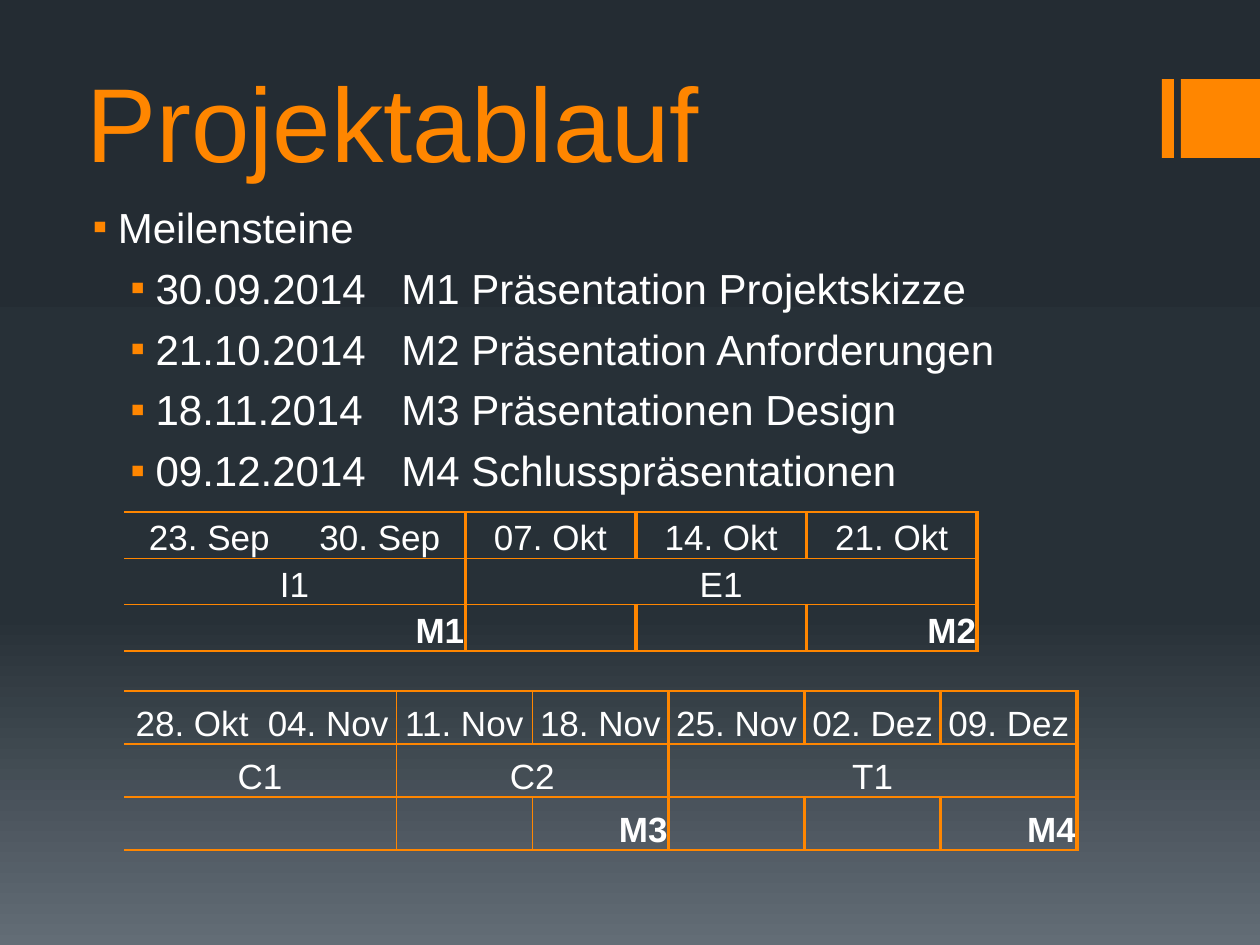
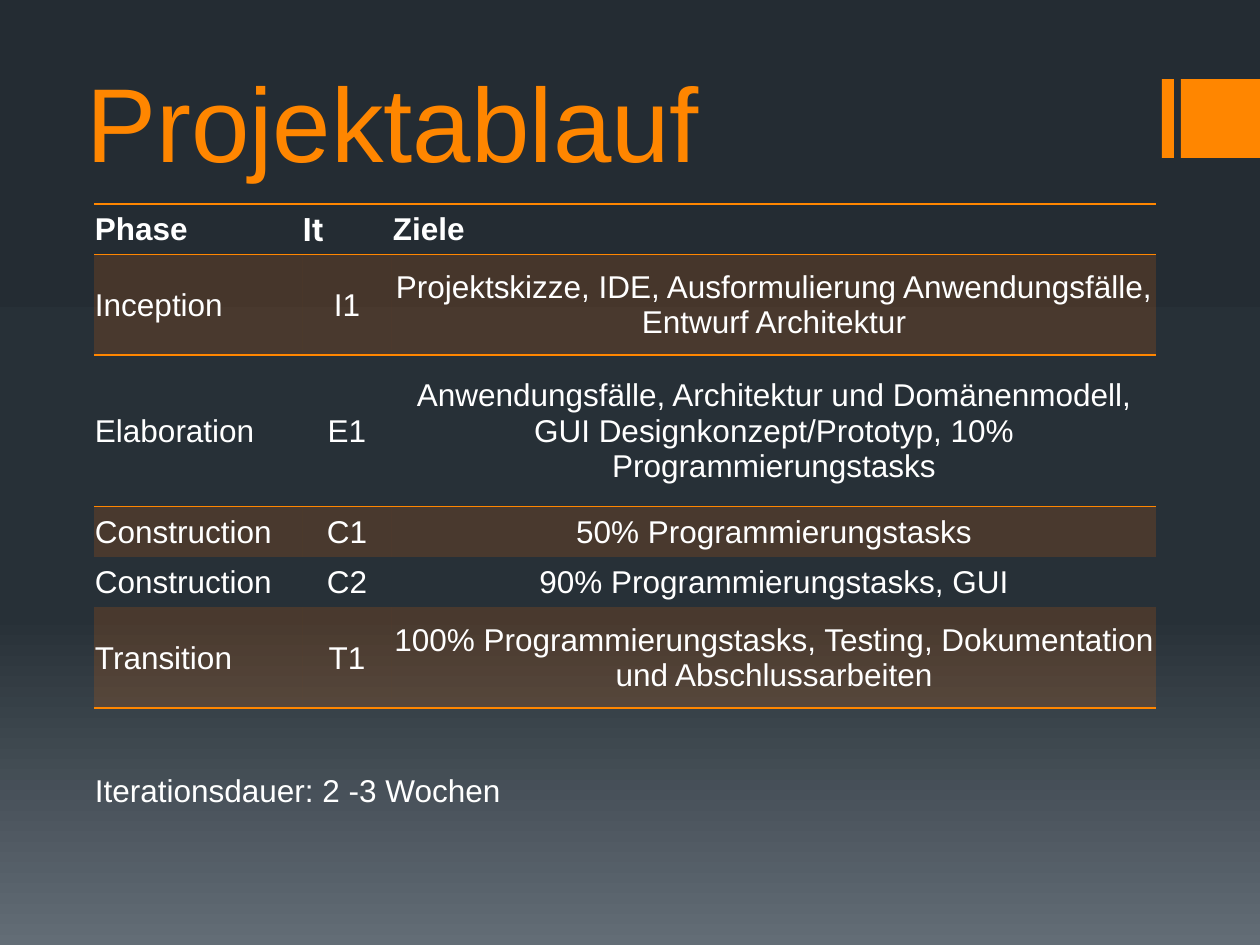
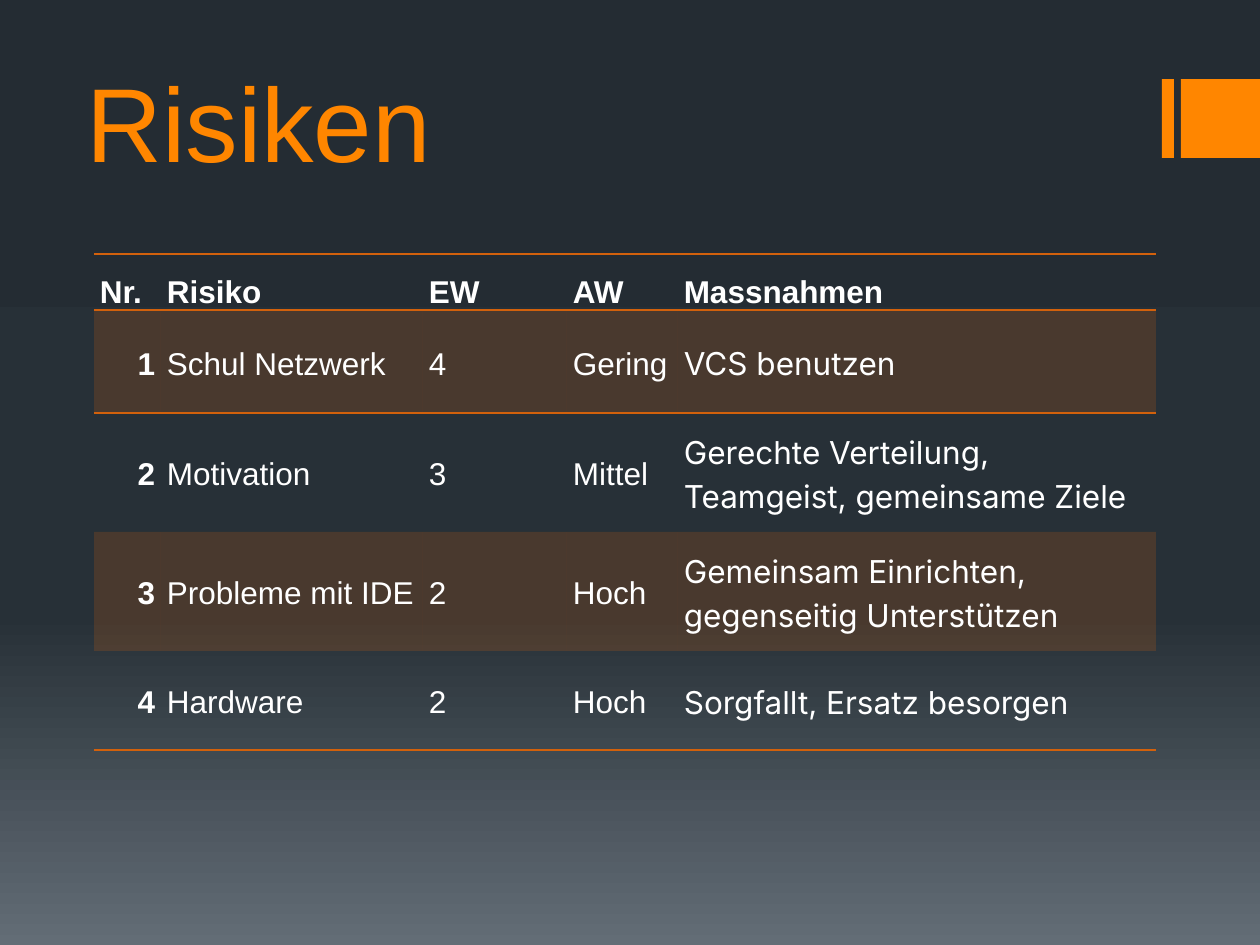
from copy import deepcopy
from lxml.etree import SubElement
from pptx import Presentation
from pptx.dml.color import RGBColor
from pptx.enum.shapes import MSO_SHAPE
from pptx.enum.text import MSO_ANCHOR, PP_ALIGN
from pptx.oxml.ns import qn
from pptx.util import Inches, Pt

PX = 914400 / 126
ORANGE = RGBColor(0xFF, 0x86, 0x00)
RUST = RGBColor(0xD2, 0x61, 0x0C)
WHITE = RGBColor(0xFF, 0xFF, 0xFF)
BACKDROP = [(0, RGBColor(0x24, 0x2C, 0x33)),
            (0.65, RGBColor(0x27, 0x30, 0x37)),
            (1, RGBColor(0x63, 0x6D, 0x76))]
FONT = "Arial"
ALT_FONT = "Inter"
NO_GRID = "{2D5ABB26-0587-4C30-8999-92F81FD0307C}"
LEFT, CENTER, RIGHT = PP_ALIGN.LEFT, PP_ALIGN.CENTER, PP_ALIGN.RIGHT


def px(n):
    return round(n * PX)


def set_backdrop(master):
    fill = master.background.fill
    fill.gradient()
    fill.gradient_angle = 270
    stops = master.element.find(".//" + qn("a:gsLst"))
    stops.append(deepcopy(stops[0]))
    for stop, (position, color) in zip(fill.gradient_stops, BACKDROP):
        stop.position = position
        stop.color.rgb = color


def style_runs(p, size, color=WHITE, bold=False, font=FONT):
    for r in p.runs:
        r.font.size = Pt(size)
        r.font.name = font
        r.font.bold = bold
        r.font.color.rgb = color


def add_text(s, box):
    tf = s.shapes.add_textbox(*map(px, box)).text_frame
    tf.word_wrap = True
    return tf


def titled_slide(prs, title):
    s = prs.slides.add_slide(prs.slide_layouts[6])
    for left, width in ((1162, 12), (1181, 79)):
        sp = s.shapes.add_shape(MSO_SHAPE.RECTANGLE, px(left), px(79), px(width), px(79))
        sp.shadow.inherit = False
        sp.fill.solid()
        sp.fill.fore_color.rgb = ORANGE
        sp.line.fill.background()
    tf = add_text(s, (74, 45, 1060, 139))
    tf.vertical_anchor = MSO_ANCHOR.BOTTOM
    tf.margin_bottom = 0
    tf.text = title
    style_runs(tf.paragraphs[0], 60, ORANGE)
    return s


def bullet_list(s, box, items):
    tf = add_text(s, box)
    for i, (level, text) in enumerate(items):
        p = tf.add_paragraph() if i else tf.paragraphs[0]
        p.text = text
        p.level = level
        p.space_before = Pt(6)
        style_runs(p, 24)
        pPr = p._p.get_or_add_pPr()
        pPr.set("marL", str(Inches(0.25 + 0.3 * level)))
        pPr.set("indent", str(Inches(-0.2)))
        SubElement(SubElement(pPr, qn("a:buClr")), qn("a:srgbClr")).set("val", str(ORANGE))
        SubElement(pPr, qn("a:buFont")).set("typeface", FONT)
        SubElement(pPr, qn("a:buChar")).set("char", "▪")


def plain_table(s, box, rows, cols, margins):
    table = s.shapes.add_table(rows, cols, *map(px, box)).table
    table.first_row = table.horz_banding = False
    table._tbl.tblPr.find(qn("a:tableStyleId")).text = NO_GRID
    side, top = margins
    for cell in table.iter_cells():
        cell.margin_left = cell.margin_right = px(side)
        cell.margin_top = px(top)
        cell.margin_bottom = 0
        cell.fill.background()
    return table


def set_sizes(parts, attribute, sizes):
    for part, size in zip(parts, sizes):
        setattr(part, attribute, px(size))


def write_cell(cell, text, size, align=LEFT, anchor=MSO_ANCHOR.MIDDLE, bold=False,
               font=FONT, spacing=None):
    cell.vertical_anchor = anchor
    p = cell.text_frame.paragraphs[0]
    p.text = text
    p.alignment = align
    p.line_spacing = spacing
    style_runs(p, size, bold=bold, font=font)


def set_borders(cell, color, **widths):
    tcPr = cell._tc.get_or_add_tcPr()
    sides = [side for side in "LRTB" if widths.get(side)]
    for i, side in enumerate(sides):
        ln = SubElement(tcPr, qn("a:ln" + side), w=str(Pt(widths[side])))
        fill = SubElement(ln, qn("a:solidFill"))
        SubElement(fill, qn("a:srgbClr")).set("val", str(color))
        tcPr.insert(i, ln)


def tint(cell):
    cell.fill.solid()
    cell.fill.fore_color.rgb = RUST
    color = cell._tc.tcPr.find(qn("a:solidFill"))[0]
    SubElement(color, qn("a:alpha")).set("val", "20000")


def schedule(s, box, dates, phases, milestones, dividers):
    cols = len(dates)
    table = plain_table(s, box, 3, cols, (1, 1))
    bottom = MSO_ANCHOR.BOTTOM
    for c, date in enumerate(dates):
        write_cell(table.cell(0, c), date, 20, CENTER, bottom)
        write_cell(table.cell(2, c), milestones.get(c, ""), 20, RIGHT, bottom, True)
        for r in (0, 2):
            set_borders(table.cell(r, c), ORANGE, L=dividers.get(c - 1),
                        R=dividers.get(c), T=1, B=1)
    first = 0
    for phase, span in phases:
        last = first + span - 1
        table.cell(1, first).merge(table.cell(1, last))
        write_cell(table.cell(1, first), phase, 20, CENTER, bottom)
        for c in range(first, last + 1):
            set_borders(table.cell(1, c), ORANGE, L=dividers.get(first - 1),
                        R=dividers.get(last), T=1, B=1)
        first = last + 1


def phase_table(s, box, widths, units, header, rows, note):
    table = plain_table(s, box, len(units), len(widths), (1, 1))
    set_sizes(table.columns, "width", widths)
    set_sizes(table.rows, "height", [u * box[3] / sum(units) for u in units])
    for c, text in enumerate(header):
        write_cell(table.cell(0, c), text, 18, bold=True, font=ALT_FONT if c == 1 else FONT)
        set_borders(table.cell(0, c), ORANGE, T=1, B=1)
    for r, row in enumerate(rows, 1):
        for c, text in enumerate(row):
            cell = table.cell(r, c)
            write_cell(cell, text, 18, CENTER if c else LEFT)
            set_borders(cell, ORANGE, T=r <= 2, B=r in (1, len(rows)))
            if r % 2:
                tint(cell)
    last = len(units) - 1
    table.cell(last, 0).merge(table.cell(last, len(widths) - 1))
    write_cell(table.cell(last, 0), note, 18, anchor=MSO_ANCHOR.BOTTOM)


def risk_table(s, box, widths, heights, header, rows):
    table = plain_table(s, box, len(heights), len(widths), (6, 0))
    set_sizes(table.columns, "width", widths)
    set_sizes(table.rows, "height", heights)
    for c, text in enumerate(header):
        write_cell(table.cell(0, c), text, 18, anchor=MSO_ANCHOR.BOTTOM, bold=True, spacing=1.15)
        set_borders(table.cell(0, c), RUST, T=1, B=1)
    for r, row in enumerate(rows, 1):
        for c, text in enumerate((str(r), *row)):
            cell = table.cell(r, c)
            write_cell(cell, text, 18, LEFT if c else RIGHT, bold=c == 0,
                       font=ALT_FONT if c == len(row) else FONT, spacing=1.15)
            set_borders(cell, RUST, T=r == 1, B=r == len(rows))
            if r % 2:
                tint(cell)


prs = Presentation()
prs.slide_width, prs.slide_height = px(1260), px(945)
set_backdrop(prs.slide_master)

s = titled_slide(prs, "Projektablauf")
bullet_list(s, (74, 195, 1111, 674), [
    (0, "Meilensteine"),
    (1, "30.09.2014 \tM1 Präsentation Projektskizze"),
    (1, "21.10.2014 \tM2 Präsentation Anforderungen"),
    (1, "18.11.2014 \tM3 Präsentationen Design"),
    (1, "09.12.2014 \tM4 Schlusspräsentationen"),
])
schedule(s, (124, 512, 853, 139),
         ["23. Sep", "30. Sep", "07. Okt", "14. Okt", "21. Okt"],
         [("I1", 2), ("E1", 3)], {1: "M1", 4: "M2"},
         {1: 2.25, 2: 2.25, 4: 2.25})
schedule(s, (124, 691, 953, 159),
         ["28. Okt", "04. Nov", "11. Nov", "18. Nov", "25. Nov", "02. Dez", "09. Dez"],
         [("C1", 2), ("C2", 2), ("T1", 3)], {3: "M3", 6: "M4"},
         {1: 1, 2: 1, 3: 2.25, 4: 2.25, 6: 2.25})

s = titled_slide(prs, "Projektablauf")
phase_table(s, (94, 204, 1062, 605), (208, 90, 764), (1, 2, 3, 1, 1, 2, 1, 1),
            ("Phase", "It", "Ziele"), [
    ("Inception", "I1",
     "Projektskizze, IDE, Ausformulierung Anwendungsfälle, Entwurf Architektur"),
    ("Elaboration", "E1",
     "Anwendungsfälle, Architektur und Domänenmodell, "
     "GUI Designkonzept/Prototyp, 10% Programmierungstasks"),
    ("Construction", "C1", "50% Programmierungstasks"),
    ("Construction", "C2", "90% Programmierungstasks, GUI"),
    ("Transition", "T1",
     "100% Programmierungstasks, Testing, Dokumentation und Abschlussarbeiten"),
], "Iterationsdauer: 2 -3 Wochen")

s = titled_slide(prs, "Risiken")
risk_table(s, (94, 254, 1062, 496), (67, 262, 144, 111, 478), (56, 103, 119, 119, 99),
           ("Nr.", "Risiko", "EW", "AW", "Massnahmen"), [
    ("Schul Netzwerk", "4", "Gering", "VCS benutzen"),
    ("Motivation", "3", "Mittel", "Gerechte Verteilung, Teamgeist, gemeinsame Ziele"),
    ("Probleme mit IDE", "2", "Hoch", "Gemeinsam Einrichten, gegenseitig Unterstützen"),
    ("Hardware", "2", "Hoch", "Sorgfallt, Ersatz besorgen"),
])

prs.save("out.pptx")
